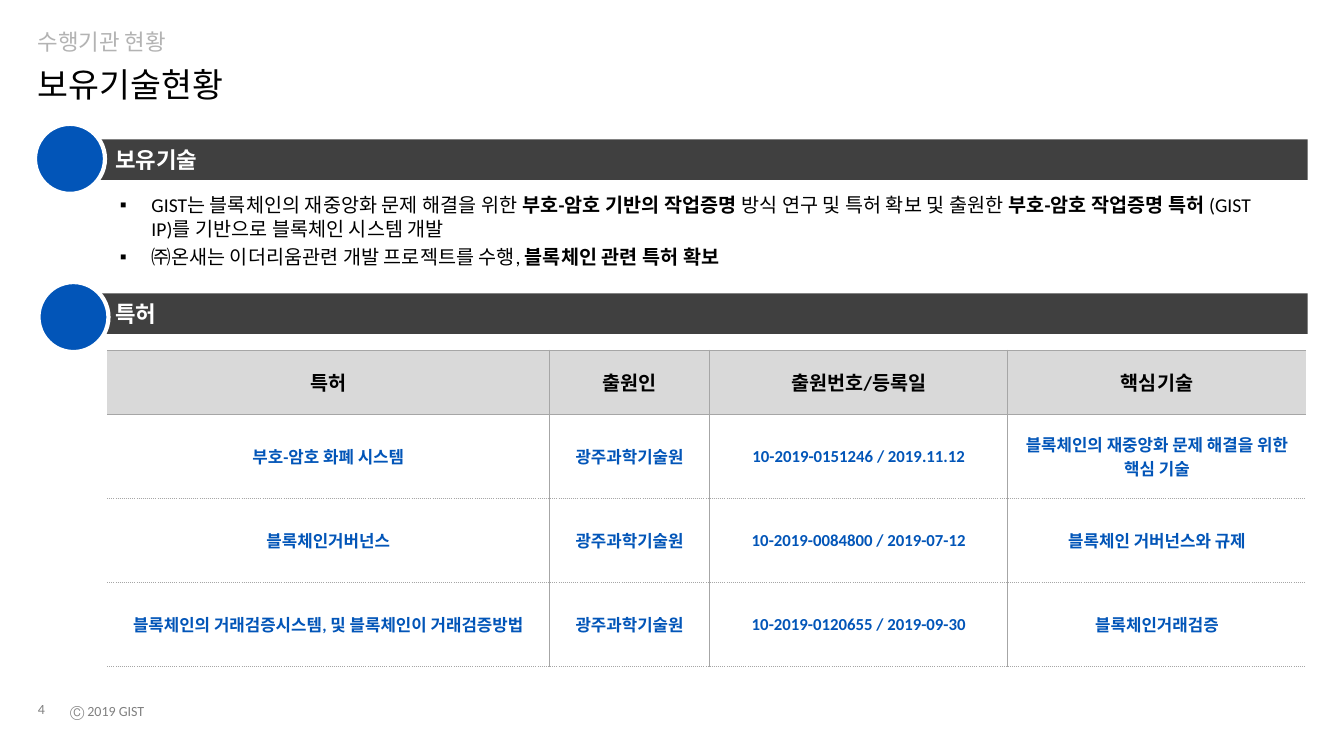
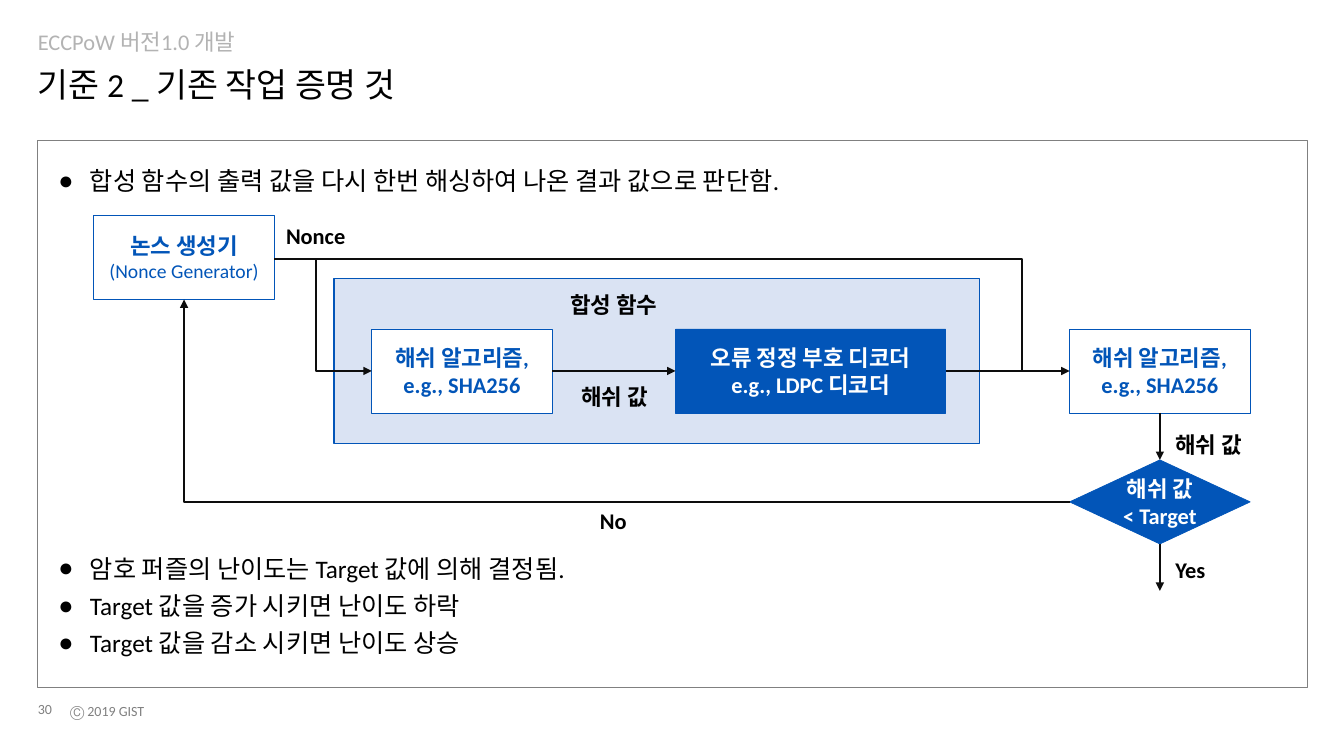
from collections import namedtuple

from lxml import etree
from pptx import Presentation
from pptx.dml.color import RGBColor
from pptx.enum import shapes, text
from pptx.oxml import ns
from pptx.util import Pt

BLACK = RGBColor(0x00, 0x00, 0x00)
WHITE = RGBColor(0xFF, 0xFF, 0xFF)
BLUE = RGBColor(0x02, 0x55, 0xB8)
PALE_BLUE = RGBColor(0xDA, 0xE3, 0xF3)
CHARCOAL = RGBColor(0x40, 0x40, 0x40)
INK = RGBColor(0x0D, 0x0D, 0x0D)
GRAY = RGBColor(0x80, 0x80, 0x80)
EYEBROW_GRAY = RGBColor(0xB3, 0xB3, 0xB3)
HEADER_GRAY = RGBColor(0xD9, 0xD9, 0xD9)
RULE_GRAY = RGBColor(0xA6, 0xA6, 0xA6)

LATIN = "Calibri"
KOREAN = "Noto Sans CJK KR"
LEFT = text.PP_ALIGN.LEFT
CENTER = text.PP_ALIGN.CENTER
TOP = text.MSO_ANCHOR.TOP
MIDDLE = text.MSO_ANCHOR.MIDDLE
BOTTOM = text.MSO_ANCHOR.BOTTOM
RECTANGLE = shapes.MSO_SHAPE.RECTANGLE

Run = namedtuple("Run", "text bold size", defaults=(None, None))


def add_element(parent, tag, **attributes):
    return etree.SubElement(parent, ns.qn(tag), **attributes)


class Deck:
    def __init__(self):
        self.presentation = Presentation()
        self.presentation.slide_width = Pt(960)
        self.presentation.slide_height = Pt(540)
        self.slide = None

    def start_slide(self, eyebrow, title, number):
        layout = self.presentation.slide_layouts[4]
        self.slide = self.presentation.slides.add_slide(layout)
        self.fill_placeholder(0, (27, 45, 907, 33), [title], 24, BLACK,
                              margins=(0, 3.6, 7.2, 3.6), line_spacing=0.9)
        self.fill_placeholder(1, (27, 19, 907, 24), [eyebrow], 16, EYEBROW_GRAY,
                              margins=(0, 3.6, 5.8, 3.6), anchor=BOTTOM,
                              line_spacing=0.9)
        self.label(27, 498, 22, number, size=10, color=GRAY, bold=False, height=17)
        self.label(50, 498, 140, "Ⓒ 2019 GIST", size=10, color=GRAY, bold=False,
                   height=19)

    def finish_slide(self):
        for placeholder in list(self.slide.placeholders):
            if not placeholder.text_frame.text:
                placeholder.element.getparent().remove(placeholder.element)

    def add_text(self, frame, paragraphs, size, color, bold=False, align=LEFT,
                 latin=LATIN, korean=LATIN, bullet=None, space_before=0,
                 line_spacing=1.0):
        for index, runs in enumerate(paragraphs):
            paragraph = frame.paragraphs[0] if index == 0 else frame.add_paragraph()
            if bullet:
                properties = paragraph._p.get_or_add_pPr()
                properties.set("marL", str(Pt(22.5)))
                properties.set("indent", str(-Pt(22.5)))
                add_element(properties, "a:buChar", char=bullet)
            paragraph.alignment = align
            paragraph.line_spacing = line_spacing
            paragraph.space_before = Pt(space_before if index else 0)
            for item in [Run(runs)] if isinstance(runs, str) else runs:
                run = paragraph.add_run()
                run.text = item.text
                run.font.size = Pt(item.size or size)
                run.font.bold = bold if item.bold is None else item.bold
                run.font.color.rgb = color
                run.font.name = latin
                add_element(run._r.get_or_add_rPr(), "a:ea", typeface=korean)

    def set_frame(self, frame, margins, anchor):
        frame.word_wrap = True
        frame.auto_size = text.MSO_AUTO_SIZE.NONE
        frame.vertical_anchor = anchor
        (frame.margin_left, frame.margin_top,
         frame.margin_right, frame.margin_bottom) = map(Pt, margins)

    def fill_placeholder(self, index, box, paragraphs, size, color,
                         margins=(7.2, 3.6, 7.2, 3.6), anchor=TOP, **style):
        placeholder = self.slide.placeholders[index]
        (placeholder.left, placeholder.top,
         placeholder.width, placeholder.height) = map(Pt, box)
        self.set_frame(placeholder.text_frame, margins, anchor)
        self.add_text(placeholder.text_frame, paragraphs, size, color, **style)

    def bullets(self, index, box, paragraphs, size, bullet, space_before):
        self.fill_placeholder(index, box, paragraphs, size, BLACK,
                              bullet=bullet, space_before=space_before)

    def label(self, left, top, width, caption, size=16, color=BLACK, bold=True,
              align=LEFT, height=27):
        box = self.slide.shapes.add_textbox(*map(Pt, (left, top, width, height)))
        self.set_frame(box.text_frame, (0, 0, 0, 0), MIDDLE)
        self.add_text(box.text_frame, [caption], size, color, bold, align)

    def shape(self, kind, box, fill=None, line=None, line_width=0.5, paragraphs=(),
              color=BLUE, align=CENTER, margins=(0, 0, 0, 0), **style):
        shape = self.slide.shapes.add_shape(kind, *map(Pt, box))
        shape.shadow.inherit = False
        if fill is None:
            shape.fill.background()
        else:
            shape.fill.solid()
            shape.fill.fore_color.rgb = fill
        if line is None:
            shape.line.fill.background()
        else:
            shape.line.color.rgb = line
            shape.line.width = Pt(line_width)
        self.set_frame(shape.text_frame, margins, MIDDLE)
        self.add_text(shape.text_frame, paragraphs, 16, color, True, align, **style)

    def section(self, caption, band_top, circle_left, circle_top):
        self.shape(RECTANGLE, (68, band_top, 866, 29), CHARCOAL, paragraphs=[caption],
                   color=WHITE, align=LEFT, margins=(14.4, 0, 0, 0),
                   latin=KOREAN, korean=KOREAN)
        self.shape(shapes.MSO_SHAPE.OVAL, (circle_left, circle_top, 50, 50), BLUE,
                   WHITE, 3)

    def ink_line(self, shape, arrow):
        shape.line.color.rgb = INK
        shape.line.width = Pt(1.5)
        if arrow:
            outline = shape.element.spPr.find(ns.qn("a:ln"))
            add_element(outline, "a:tailEnd", type="triangle")

    def arrow(self, *ends):
        connector = self.slide.shapes.add_connector(
            shapes.MSO_CONNECTOR.STRAIGHT, *map(Pt, ends))
        self.ink_line(connector, True)
        add_element(connector.element.spPr, "a:effectLst")

    def bent_line(self, points, arrow=True):
        start, *rest = [(Pt(x), Pt(y)) for x, y in points]
        builder = self.slide.shapes.build_freeform(*start)
        builder.add_line_segments(rest, close=False)
        shape = builder.convert_to_shape()
        shape.shadow.inherit = False
        shape.fill.background()
        self.ink_line(shape, arrow)

    def cell_borders(self, cell, dashes):
        properties = cell._tc.get_or_add_tcPr()
        for position, (side, dash) in enumerate(zip("LRTB", dashes)):
            border = etree.Element(ns.qn("a:ln" + side), w=str(Pt(0.75)))
            if dash:
                fill = add_element(border, "a:solidFill")
                add_element(fill, "a:srgbClr", val=str(RULE_GRAY))
                add_element(border, "a:prstDash", val=dash)
            else:
                add_element(border, "a:noFill")
            properties.insert(position, border)

    def table(self, left, top, widths, heights, rows):
        table = self.slide.shapes.add_table(
            len(rows), len(widths),
            *map(Pt, (left, top, sum(widths), sum(heights)))).table
        table.first_row = table.horz_banding = False
        for column, width in zip(table.columns, widths):
            column.width = Pt(width)
        for row_index, (row, height) in enumerate(zip(rows, heights)):
            table.rows[row_index].height = Pt(height)
            header = row_index == 0
            for column_index, content in enumerate(row):
                cell = table.cell(row_index, column_index)
                cell.vertical_anchor = MIDDLE
                cell.margin_left = cell.margin_right = 0
                cell.margin_top = cell.margin_bottom = 0
                cell.fill.solid()
                cell.fill.fore_color.rgb = HEADER_GRAY if header else WHITE
                self.add_text(cell.text_frame, content.split("\n"),
                              14 if header else 12, BLACK if header else BLUE,
                              True, CENTER, korean=KOREAN)
                self.cell_borders(cell, (
                    "solid" if column_index else None,
                    "solid" if column_index < len(row) - 1 else None,
                    "solid" if row_index < 2 else "sysDot",
                    "solid" if header else "sysDot"))


def build_technology_slide(deck):
    deck.start_slide("수행기관 현황", "보유기술현황", "4")
    deck.section("보유기술", 99.5, 25, 88.5)
    deck.bullets(2, (78.5, 134.5, 835, 61), [
        [Run("GIST는 블록체인의 재중앙화 문제 해결을 위한 "),
         Run("부호-암호 기반의 작업증명", True),
         Run(" 방식 연구 및 특허 확보 및 출원한 "),
         Run("부호-암호 작업증명 특허 ", True),
         Run("(GIST IP)를 기반으로 블록체인 시스템 개발")],
        [Run("㈜온새는 이더리움관련 개발 프로젝트를 수행, "),
         Run("블록체인 관련 특허 확보", True)],
    ], 14, "▪", 3)
    deck.section("특허", 209.5, 27.5, 201.5)
    applicant = "광주과학기술원"
    deck.table(76.5, 250, (316, 114.5, 213, 213), (46, 60, 60, 60), [
        ("특허", "출원인", "출원번호/등록일", "핵심기술"),
        ("부호-암호 화폐 시스템", applicant, "10-2019-0151246 / 2019.11.12",
         "블록체인의 재중앙화 문제 해결을 위한\n핵심 기술"),
        ("블록체인거버넌스", applicant, "10-2019-0084800 / 2019-07-12",
         "블록체인 거버넌스와 규제"),
        ("블록체인의 거래검증시스템, 및 블록체인이 거래검증방법", applicant,
         "10-2019-0120655 / 2019-09-30", "블록체인거래검증"),
    ])
    deck.finish_slide()


def build_proof_of_work_slide(deck):
    deck.start_slide("ECCPoW 버전1.0 개발", "기준 2 _ 기존 작업 증명 것", "30")
    deck.shape(RECTANGLE, (27, 100, 907, 391), line=GRAY)
    deck.bullets(2, (34.5, 114.5, 865, 29),
                 ["합성 함수의 출력 값을 다시 한번 해싱하여 나온 결과 값으로 판단함."],
                 18, "●", 5)
    deck.bullets(4, (34.5, 391.5, 865, 83), [
        "암호 퍼즐의 난이도는 Target 값에 의해 결정됨.",
        "Target 값을 증가 시키면 난이도 하락",
        "Target 값을 감소 시키면 난이도 상승",
    ], 18, "●", 5)

    width, height = 129, 60
    generator_left, generator_top = 67, 154
    hash_left, decoder_left, decoder_width, check_left = 265.5, 482.5, 193, 764
    flow_top, target_top = 235, 328.5
    flow_middle = flow_top + height / 2
    target_middle = target_top + height / 2
    generator_center = generator_left + width / 2
    check_center = check_left + width / 2
    nonce_y, branch_x, bypass_x = 185, 225.5, 730

    deck.shape(RECTANGLE, (238.5, 199, 461, 118), PALE_BLUE, BLUE, 1)
    deck.shape(RECTANGLE, (generator_left, generator_top, width, height), None, BLUE,
               paragraphs=["논스 생성기", [Run("(Nonce Generator)", False, 14)]])
    deck.shape(RECTANGLE, (decoder_left, flow_top, decoder_width, height), BLUE, BLUE,
               paragraphs=["오류 정정 부호 디코더", "e.g., LDPC 디코더"], color=WHITE)
    for left in (hash_left, check_left):
        deck.shape(RECTANGLE, (left, flow_top, width, height), WHITE, BLUE,
                   paragraphs=["해쉬 알고리즘,", "e.g., SHA256"])
    deck.shape(shapes.MSO_SHAPE.DIAMOND, (check_left, target_top, width, height),
               BLUE, BLUE, paragraphs=["해쉬 값", "< Target"], color=WHITE)

    deck.arrow(hash_left + width, flow_middle, decoder_left, flow_middle)
    deck.arrow(decoder_left + decoder_width, flow_middle, check_left, flow_middle)
    deck.arrow(check_center, flow_top + height, check_center, target_top)
    deck.arrow(check_center, target_top + height, check_center, 422)
    deck.bent_line([(check_left, target_middle), (generator_center, target_middle),
                    (generator_center, generator_top + height)])
    deck.bent_line([(branch_x, nonce_y), (branch_x, flow_middle),
                    (hash_left, flow_middle)])
    deck.bent_line([(generator_left + width, nonce_y), (bypass_x, nonce_y),
                    (bypass_x, flow_middle)], arrow=False)

    for caption, left, top, label_width in (
            ("해쉬 값", 405.5, 270, 67), ("No", 421, 358, 34),
            ("Nonce", 196.5, 155, 58), ("합성 함수", 397, 204, 83)):
        deck.label(left, top, label_width, caption, align=CENTER)
    for caption, top in (("해쉬 값", 304), ("Yes", 393.5)):
        deck.label(839.5, top, 60, caption)
    deck.finish_slide()


def main():
    deck = Deck()
    build_technology_slide(deck)
    build_proof_of_work_slide(deck)
    deck.presentation.save("out.pptx")


if __name__ == "__main__":
    main()
